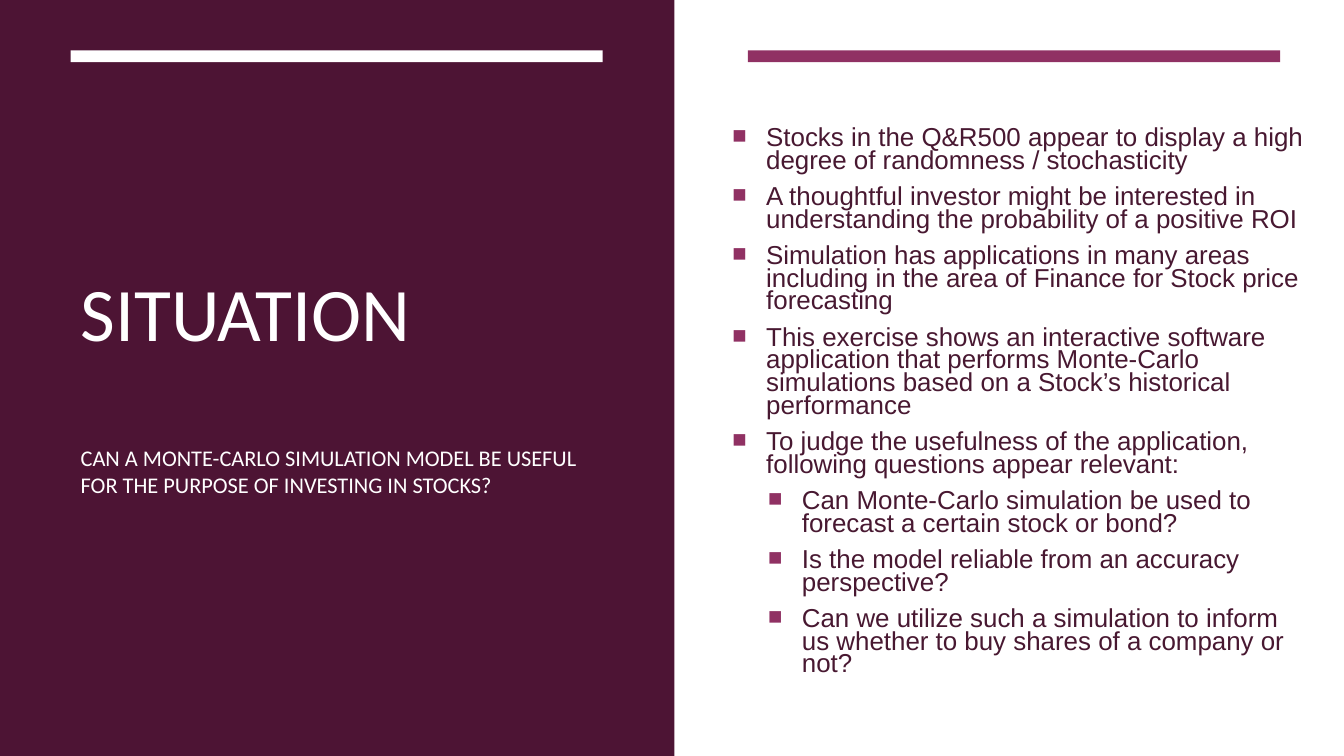
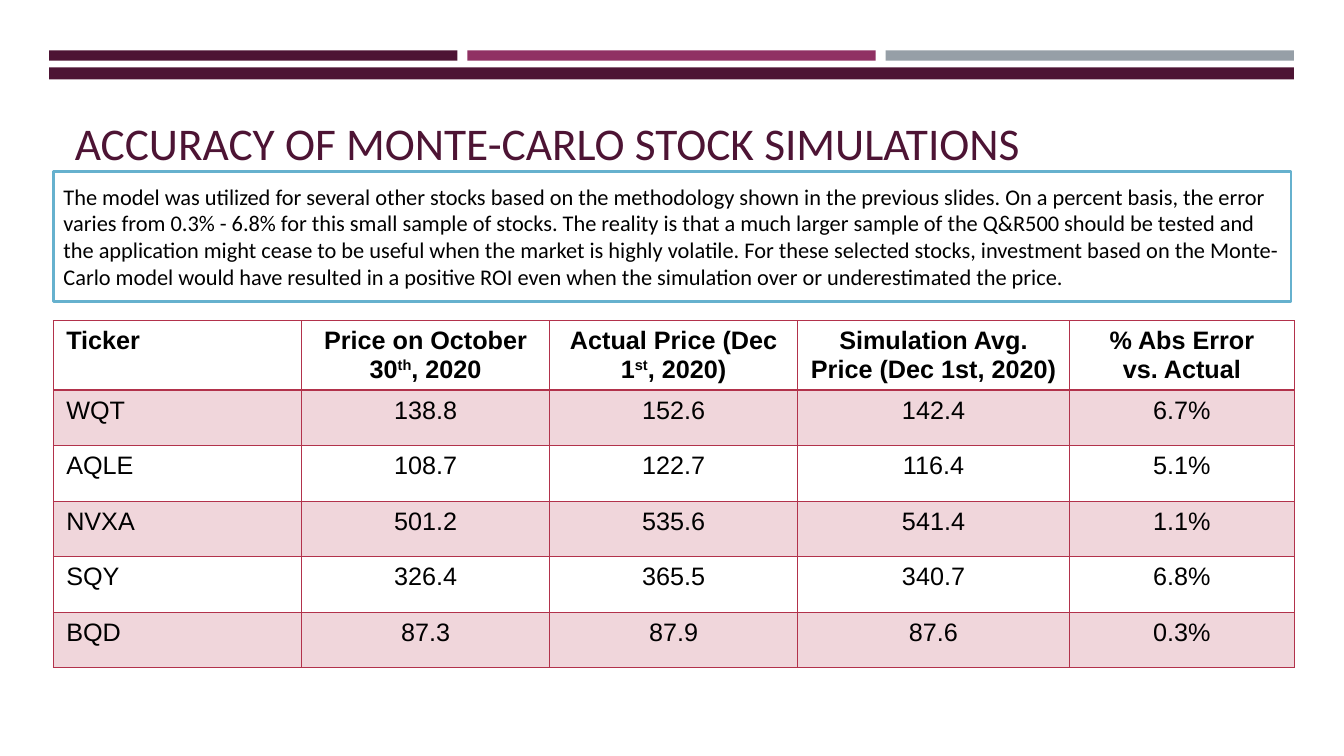
import pptx
import pptx.util
import pptx.dml.color
import pptx.enum.shapes
import pptx.enum.text
import pptx.oxml
import pptx.oxml.ns
from lxml import etree

Cm, Pt = pptx.util.Cm, pptx.util.Pt
ALIGN = pptx.enum.text.PP_ALIGN
ANCHOR = pptx.enum.text.MSO_ANCHOR

# Shared look
PLUM, MAGENTA, GREY, WHITE, BLACK = "4D1434", "903163", "969FA7", "FFFFFF", "000000"
BODY_INK, FRAME_BLUE, GRID_RED, ROW_PINK = "481831", "66B1CE", "B2324B", "F0D6DB"
HEADING_FONT, BODY_FONT = "Calibri", "Arial"
BAND_TOP, BAND_HEIGHT = 1.27, 0.3

# Slide content
QUESTION = ("CAN A MONTE-CARLO SIMULATION MODEL BE USEFUL FOR THE PURPOSE OF "
            "INVESTING IN STOCKS?")
POINTS = [
    (0, "Stocks in the Q&R500 appear to display a high degree of randomness / stochasticity"),
    (0, "A thoughtful investor might be interested in understanding the probability of a "
        "positive ROI"),
    (0, "Simulation has applications in many areas including in the area of Finance for "
        "Stock price forecasting"),
    (0, "This exercise shows an interactive software application that performs Monte-Carlo "
        "simulations based on a Stock’s historical performance"),
    (0, "To judge the usefulness of the application, following questions appear relevant:"),
    (1, "Can Monte-Carlo simulation be used to forecast a certain stock or bond?"),
    (1, "Is the model reliable from an accuracy perspective?"),
    (1, "Can we utilize such a simulation to inform us whether to buy shares of a company "
        "or not?"),
]
FINDINGS = (
    "The model was utilized for several other stocks based on the methodology shown in the "
    "previous slides. On a percent basis, the error varies from 0.3% - 6.8% for this small "
    "sample of stocks. The reality is that a much larger sample of the Q&R500 should be tested "
    "and the application might cease to be useful when the market is highly volatile. For these "
    "selected stocks, investment based on the Monte-Carlo model would have resulted in a "
    "positive ROI even when the simulation over or underestimated the price.")
# A ^ pair encloses superscript text
PRICES = [
    ["Ticker", "Price on October 30^th^, 2020", "Actual Price (Dec 1^st^, 2020)",
     "Simulation Avg. Price (Dec 1st, 2020)", "% Abs Error\nvs. Actual"],
    ["WQT", "138.8", "152.6", "142.4", "6.7%"],
    ["AQLE", "108.7", "122.7", "116.4", "5.1%"],
    ["NVXA", "501.2", "535.6", "541.4", "1.1%"],
    ["SQY", "326.4", "365.5", "340.7", "6.8%"],
    ["BQD", "87.3", "87.9", "87.6", "0.3%"],
]
COLUMN_WIDTHS = [6.25, 6.25, 6.25, 6.85, 5.67]
HEADER_HEIGHT, ROW_HEIGHT = 1.75, 1.4


def rgb(code):
    return pptx.dml.color.RGBColor.from_string(code)


def place(shape, left, top, width, height):
    shape.left, shape.top = Cm(left), Cm(top)
    shape.width, shape.height = Cm(width), Cm(height)


def style(paragraph, font, size, color, bold=False, align=ALIGN.LEFT):
    paragraph.alignment = align
    paragraph.font.name, paragraph.font.size = font, Pt(size)
    paragraph.font.bold, paragraph.font.color.rgb = bold, rgb(color)


def add_panel(slide, left, top, width, height, color, line=None):
    panel = slide.shapes.add_shape(pptx.enum.shapes.MSO_SHAPE.RECTANGLE,
                                   Cm(left), Cm(top), Cm(width), Cm(height))
    panel.shadow.inherit = False
    panel.fill.solid()
    panel.fill.fore_color.rgb = rgb(color)
    if line:
        panel.line.color.rgb = rgb(line)
        panel.line.width = Pt(1.75)
    else:
        panel.line.fill.background()
    return panel


def set_title(slide, text, box, size, color, anchor):
    """Format the title placeholder and bring it in front of the panels."""
    title = slide.shapes.title
    slide.shapes.element.append(title.element)
    place(title, *box)
    frame = title.text_frame
    frame.text = text
    frame.word_wrap, frame.vertical_anchor = True, anchor
    frame.auto_size = pptx.enum.text.MSO_AUTO_SIZE.NONE
    for paragraph in frame.paragraphs:
        style(paragraph, HEADING_FONT, size, color)
    return frame


def add_bullet(paragraph, level):
    properties = paragraph._p.get_or_add_pPr()
    properties.set("marL", str(Cm(0.85 + 0.9 * level)))
    properties.set("indent", str(-Cm(0.85)))
    bullet = pptx.oxml.parse_xml(
        f'<a:pPr {pptx.oxml.ns.nsdecls("a")}><a:buClr><a:srgbClr val="{MAGENTA}"/></a:buClr>'
        '<a:buSzPct val="92000"/><a:buFont typeface="Arial"/><a:buChar char="■"/></a:pPr>')
    following = properties.find(pptx.oxml.ns.qn("a:defRPr"))
    for part in list(bullet):
        if following is None:
            properties.append(part)
        else:
            following.addprevious(part)


def add_points(slide, points, box):
    frame = slide.shapes.add_textbox(*map(Cm, box)).text_frame
    frame.word_wrap, frame.vertical_anchor = True, ANCHOR.MIDDLE
    frame.text = "\n".join(text for _, text in points)
    for paragraph, (level, _) in zip(frame.paragraphs, points):
        paragraph.level = level
        paragraph.line_spacing = 0.73
        paragraph.space_before, paragraph.space_after = Pt(3.7), Pt(6)
        style(paragraph, BODY_FONT, 18.5, BODY_INK)
        add_bullet(paragraph, level)


def set_borders(cell, top, bottom):
    properties = cell._tc.get_or_add_tcPr()
    for position, (side, width) in enumerate(
            [("L", 1), ("R", 1), ("T", top), ("B", bottom)]):
        border = etree.Element(pptx.oxml.ns.qn(f"a:ln{side}"), w=str(Pt(width)))
        fill = etree.SubElement(border, pptx.oxml.ns.qn("a:solidFill"))
        etree.SubElement(fill, pptx.oxml.ns.qn("a:srgbClr"), val=GRID_RED)
        properties.insert(position, border)


def fill_cell(cell, text, row, column):
    cell.margin_left = cell.margin_right = Cm(0.32)
    cell.margin_top = cell.margin_bottom = Cm(0.16)
    cell.fill.solid()
    cell.fill.fore_color.rgb = rgb(ROW_PINK if row % 2 else WHITE)
    set_borders(cell, top=2 if row == 1 else 1, bottom=2 if row == 0 else 1)
    frame = cell.text_frame
    for number, line in enumerate(text.split("\n")):
        paragraph = frame.add_paragraph() if number else frame.paragraphs[0]
        for part, words in enumerate(line.split("^")):
            run = paragraph.add_run()
            run.text = words
            if part % 2:
                run._r.get_or_add_rPr().set("baseline", "30000")
        style(paragraph, BODY_FONT, 18, BLACK, bold=row == 0,
              align=ALIGN.CENTER if column else ALIGN.LEFT)


def add_price_table(slide, left, top):
    heights = [HEADER_HEIGHT] + [ROW_HEIGHT] * (len(PRICES) - 1)
    table = slide.shapes.add_table(len(PRICES), len(COLUMN_WIDTHS), Cm(left), Cm(top),
                                   Cm(sum(COLUMN_WIDTHS)), Cm(sum(heights))).table
    table.first_row = table.horz_banding = False
    for column, width in zip(table.columns, COLUMN_WIDTHS):
        column.width = Cm(width)
    for row, (values, height) in enumerate(zip(PRICES, heights)):
        table.rows[row].height = Cm(height)
        for column, text in enumerate(values):
            fill_cell(table.cell(row, column), text, row, column)


def build_situation(slide):
    # Dark half with a band above each half
    add_panel(slide, 0, 0, 17, 19.05, PLUM)
    for left, color in [(1.78, WHITE), (18.85, MAGENTA)]:
        add_panel(slide, left, BAND_TOP, 13.41, BAND_HEIGHT, color)
    # Title and its question
    frame = set_title(slide, f"SITUATION\n{QUESTION}", (1.78, 2.92, 13.41, 13.41),
                      54, WHITE, ANCHOR.MIDDLE)
    question = frame.paragraphs[1]
    question.font.size = Pt(16)
    question.space_before = Pt(63)
    # Points
    add_points(slide, POINTS, (18.21, 1.75, 15.09, 16.8))


def build_accuracy(slide):
    # Three short bands over a long one
    left, width, gap = 1.24, 10.29, 0.25
    for number, color in enumerate([PLUM, MAGENTA, GREY]):
        add_panel(slide, left + number * (width + gap), BAND_TOP, width, 0.26, color)
    add_panel(slide, left, 1.7, 3 * width + 2 * gap, BAND_HEIGHT, PLUM)
    # Title
    set_title(slide, "ACCURACY OF MONTE-CARLO STOCK SIMULATIONS",
              (1.63, 2.08, 30.53, 2.31), 32.4, PLUM, ANCHOR.BOTTOM)
    # Prices and findings
    add_price_table(slide, 1.35, 8.08)
    frame = add_panel(slide, 1.35, 4.32, 31.19, 3.28, WHITE, FRAME_BLUE).text_frame
    frame.word_wrap, frame.vertical_anchor = True, ANCHOR.MIDDLE
    frame.text = FINDINGS
    style(frame.paragraphs[0], HEADING_FONT, 16, BLACK)


def main():
    deck = pptx.Presentation()
    deck.slide_width, deck.slide_height = Cm(33.87), Cm(19.05)
    title_only = deck.slide_layouts[5]
    for build in (build_situation, build_accuracy):
        slide = deck.slides.add_slide(title_only)
        for placeholder in list(slide.placeholders):
            if placeholder.placeholder_format.idx != 0:
                placeholder.element.getparent().remove(placeholder.element)
        build(slide)
    deck.save("out.pptx")


if __name__ == "__main__":
    main()
